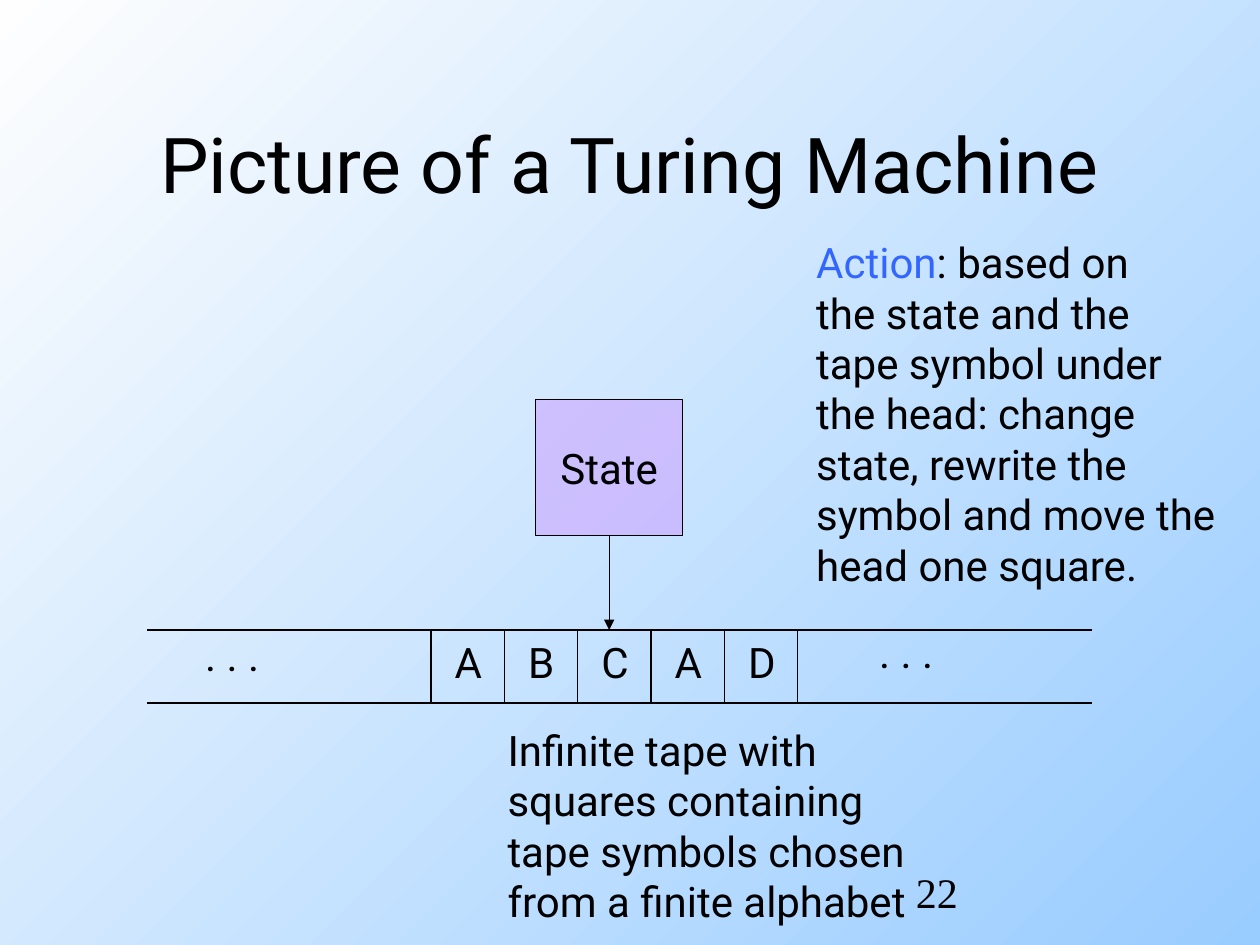
from lxml import etree
from pptx import Presentation
from pptx.dml.color import RGBColor
from pptx.enum.shapes import MSO_CONNECTOR, MSO_SHAPE
from pptx.enum.text import MSO_ANCHOR, MSO_AUTO_SIZE, PP_ALIGN
from pptx.oxml.ns import qn
from pptx.util import Inches, Pt

BLACK = RGBColor(0x00, 0x00, 0x00)
BLUE = RGBColor(0x33, 0x66, 0xFF)
PURPLE = RGBColor(0xCC, 0x99, 0xFF)
SKY = RGBColor(0x99, 0xCC, 0xFF)
WHITE = RGBColor(0xFE, 0xFE, 0xFE)
FONT = "Roboto"

# Content
TITLE = "Picture of a Turing Machine"
SYMBOLS = ["A", "B", "C", "A", "D"]
DOTS = [(1.53, 4.95), (6.88, 4.92)]
TAPE_NOTE = ["Infinite tape with", "squares containing",
             "tape symbols chosen", "from a finite alphabet"]
ACTION_WORD = "Action"
ACTION_NOTE = [": based on", "the state and the", "tape symbol under",
               "the head: change", "state, rewrite the",
               "symbol and move the", "head one square."]
PAGE = "22"

# Tape geometry
TAPE_LEFT, TAPE_RIGHT = 1.17, 8.67
TAPE_TOP, TAPE_BOTTOM = 5, 5.58
CELLS_LEFT, CELLS_RIGHT = 3.42, 6.33
CELL = (CELLS_RIGHT - CELLS_LEFT) / len(SYMBOLS)


def style(p, size=24, font=FONT):
    p.font.size = Pt(size)
    p.font.name = font
    p.font.color.rgb = BLACK


def add_text(s, lines, left, top, width, height, font=FONT, fit=True):
    sp = s.shapes.add_textbox(Inches(left), Inches(top), Inches(width), Inches(height))
    tf = sp.text_frame
    tf.word_wrap = not fit
    if fit:
        tf.auto_size = MSO_AUTO_SIZE.SHAPE_TO_FIT_TEXT
    tf.text = "\n".join(lines)
    for p in tf.paragraphs:
        style(p, font=font)
    return tf


def add_line(s, x1, y1, x2, y2):
    line = s.shapes.add_connector(MSO_CONNECTOR.STRAIGHT, Inches(x1), Inches(y1),
                                  Inches(x2), Inches(y2))
    line.line.color.rgb = BLACK
    line.line.width = Pt(0.75)
    etree.SubElement(line._element.spPr, qn("a:effectLst"))
    return line


prs = Presentation()
prs.slide_width, prs.slide_height = Inches(10), Inches(7.5)
s = prs.slides.add_slide(prs.slide_layouts[5])

# Background, blue at bottom right to white at top left
fill = s.background.fill
fill.gradient()
fill.gradient_angle = 135
for stop, color in zip(fill.gradient_stops, (SKY, WHITE)):
    stop.color.rgb = color

# Title
title = s.shapes.title
title.left, title.top = Inches(0.75), Inches(0.67)
title.width, title.height = Inches(8.5), Inches(1.25)
title.text_frame.text = TITLE
title.text_frame.vertical_anchor = MSO_ANCHOR.MIDDLE
title.text_frame.paragraphs[0].alignment = PP_ALIGN.CENTER
style(title.text_frame.paragraphs[0], 44)

# State box, half transparent
state = s.shapes.add_shape(MSO_SHAPE.RECTANGLE, Inches(4.25), Inches(3.17),
                           Inches(1.17), Inches(1.08))
state.shadow.inherit = False
state.fill.solid()
state.fill.fore_color.rgb = PURPLE
clr = state._element.spPr.find(qn("a:solidFill")).find(qn("a:srgbClr"))
etree.SubElement(clr, qn("a:alpha"), val="50000")
state.line.color.rgb = BLACK
state.line.width = Pt(0.75)
tf = state.text_frame
tf.text = "State"
tf.word_wrap = False
tf.vertical_anchor = MSO_ANCHOR.MIDDLE
tf.paragraphs[0].alignment = PP_ALIGN.CENTER
style(tf.paragraphs[0])

# Tape
for y in (TAPE_TOP, TAPE_BOTTOM):
    add_line(s, TAPE_LEFT, y, TAPE_RIGHT, y)
for i in range(len(SYMBOLS) + 1):
    x = CELLS_LEFT + i * CELL
    add_line(s, x, TAPE_TOP, x, TAPE_BOTTOM)
for left, top in DOTS:
    add_text(s, [". . ."], left, top, 0.64, 0.5)
for i, symbol in enumerate(SYMBOLS):
    add_text(s, [symbol], CELLS_LEFT + i * CELL + 0.09, TAPE_TOP, 0.41, 0.5)

# Head
head = add_line(s, 4.83, 4.25, 4.83, TAPE_TOP)
head.begin_connect(state, 2)
head.end_x = head.begin_x
etree.SubElement(head.line._get_or_add_ln(), qn("a:tailEnd"), type="triangle")

# Notes
add_text(s, TAPE_NOTE, 3.93, 5.7, 3.6, 1.7)
tf = add_text(s, ACTION_NOTE, 6.38, 1.83, 3.57, 2.9)
p = tf.paragraphs[0]
p.runs[0].text = ACTION_WORD
p.runs[0].font.color.rgb = BLUE
r = p.add_run()
r.text = ACTION_NOTE[0]

# Page number
add_text(s, [PAGE], 7.17, 6.83, 2.08, 0.49, "Times New Roman", fit=False)

prs.save("out.pptx")
